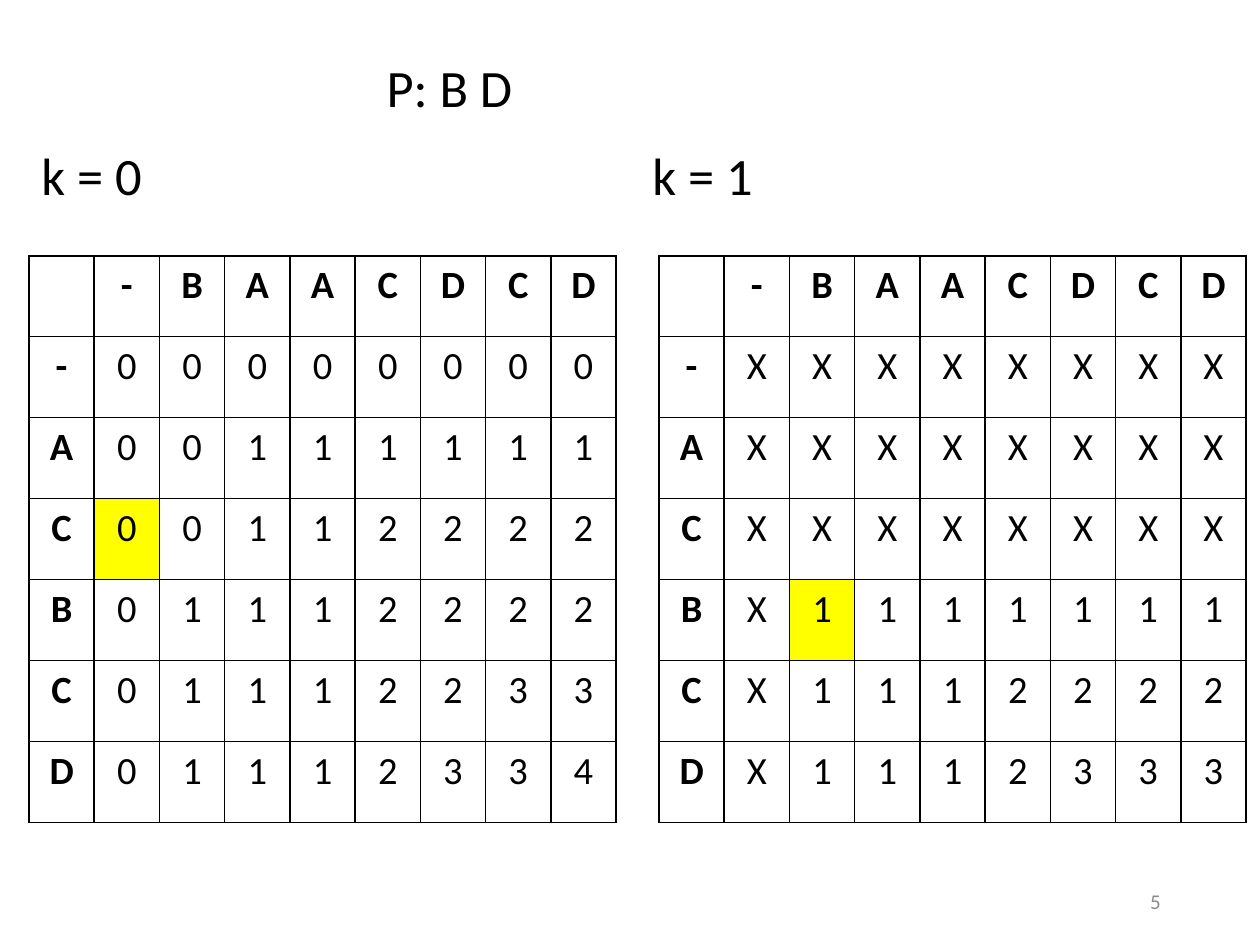
import pptx
import pptx.dml.color
import pptx.enum.text
import pptx.util
from lxml import etree

ALIGN = pptx.enum.text.PP_ALIGN
ANCHOR = pptx.enum.text.MSO_ANCHOR
Inches = pptx.util.Inches
INK, PAPER, MARK, MUTED = "000000", "FFFFFF", "FFFF00", "8B8B8B"


def color(hex_code):
    return pptx.dml.color.RGBColor.from_string(hex_code)


def write(frame, text, size=30, ink=INK, bold=False, align=ALIGN.LEFT,
          anchor=ANCHOR.TOP):
    frame.word_wrap = True
    frame.vertical_anchor = anchor
    line = frame.paragraphs[0]
    line.alignment = align
    run = line.add_run()
    run.text = text
    run.font.name = "Calibri"
    run.font.size = pptx.util.Pt(size)
    run.font.bold = bold
    run.font.color.rgb = color(ink)


deck = pptx.Presentation()
deck.slide_width, deck.slide_height = Inches(10), Inches(7.5)
slide = deck.slides.add_slide(deck.slide_layouts[6])

column, row = Inches(4.66 / 9), Inches(4.5 / 7)
matrix_top, label_top = Inches(2.03), Inches(1.09)
sequence_across, sequence_down = "-BAACDCD", "-ACBCD"

# heading, left edges of matrix and heading, scores by row, marked (row, column)
matrices = [
    ("k = 0", 0.23, 0.23,
     ["00000000", "00111111", "00112222", "01112222", "01112233", "01112334"],
     (3, 1)),
    ("k = 1", 5.23, 5.08,
     ["XXXXXXXX", "XXXXXXXX", "XXXXXXXX", "X1111111", "X1112222", "X1112333"],
     (4, 2)),
]

pattern = slide.shapes.add_textbox(Inches(2.97), Inches(0.39), Inches(2.43), Inches(0.61))
write(pattern.text_frame, "P: B D")

for heading, matrix_left, heading_left, scores, marked in matrices:
    label = slide.shapes.add_textbox(Inches(heading_left), label_top, Inches(1.05), Inches(0.6))
    write(label.text_frame, heading)

    lines = [" " + sequence_across]
    lines += [letter + values for letter, values in zip(sequence_down, scores)]
    matrix = slide.shapes.add_table(
        len(lines), len(lines[0]), Inches(matrix_left), matrix_top,
        column * len(lines[0]), row * len(lines)).table
    matrix.first_row = matrix.horz_banding = False

    for r, symbols in enumerate(lines):
        matrix.rows[r].height = row
        for c, symbol in enumerate(symbols):
            matrix.columns[c].width = column
            cell = matrix.cell(r, c)
            cell.margin_left = cell.margin_right = Inches(0.07)
            cell.margin_top = cell.margin_bottom = Inches(0.05)
            cell.fill.solid()
            cell.fill.fore_color.rgb = color(MARK if (r, c) == marked else PAPER)
            if symbol != " ":
                write(cell.text_frame, symbol, size=22, bold=r == 0 or c == 0,
                      align=ALIGN.CENTER)
            # Borders must come before the fill in the cell properties
            properties = cell._tc.get_or_add_tcPr()
            for position, side in enumerate(("lnL", "lnR", "lnT", "lnB")):
                properties.insert(position, etree.fromstring(
                    '<a:%s xmlns:a="http://schemas.openxmlformats.org/drawingml/2006/main"'
                    ' w="12192"><a:solidFill><a:srgbClr val="%s"/></a:solidFill></a:%s>'
                    % (side, INK, side)))

page_number = slide.shapes.add_textbox(Inches(7.06), Inches(6.95), Inches(2.25), Inches(0.4))
write(page_number.text_frame, "5", size=12, ink=MUTED, align=ALIGN.RIGHT,
      anchor=ANCHOR.MIDDLE)

deck.save("out.pptx")
